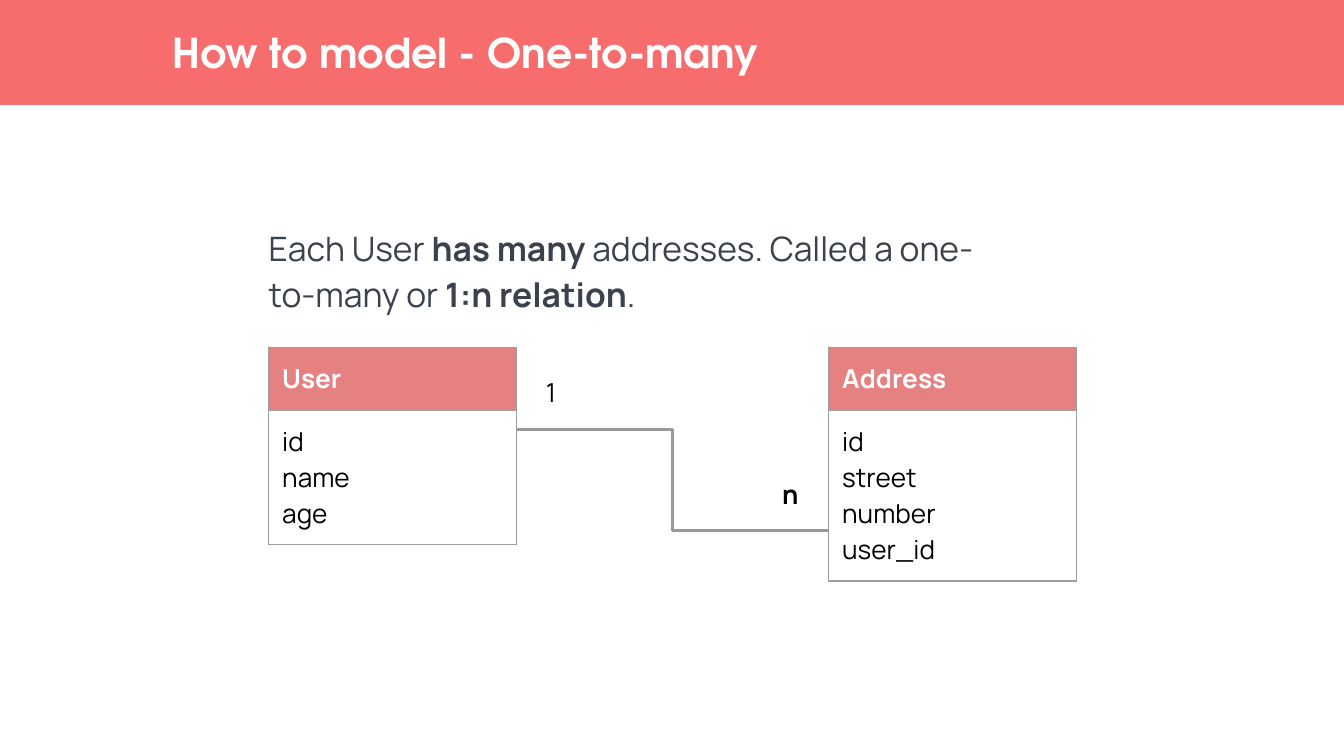
from lxml import etree
from pptx import Presentation
from pptx import util as u
from pptx.dml import color
from pptx.enum import shapes, text
from pptx.oxml import ns

PX = 9525
BODY_FONT = "Manrope"
TITLE_FONT = "TeX Gyre Adventor"


def px(*lengths):
    """Turn lengths in px (96 to the inch) into EMU."""
    return [u.Emu(length * PX) for length in lengths]


def paint(target, colour):
    """Give a solid fill its hex colour."""
    target.solid()
    target.fore_color.rgb = color.RGBColor.from_string(colour)


def child(parent, tag, **attributes):
    """Append a drawing element with attributes."""
    return etree.SubElement(parent, ns.qn(tag), attributes)


def write(frame, lines, size=14, font=BODY_FONT, colour="000000", bold=False,
          align=text.PP_ALIGN.LEFT, anchor=text.MSO_ANCHOR.MIDDLE, spacing=None):
    """Write lines of spans; every second span of a line flips the weight."""
    frame.word_wrap = True
    frame.vertical_anchor = anchor
    for index, spans in enumerate(lines):
        para = frame.add_paragraph() if index else frame.paragraphs[0]
        para.alignment = align
        if spacing:
            para.line_spacing = spacing
        for order, words in enumerate(spans):
            span = para.add_run()
            span.text = words
            span.font.size = u.Pt(size)
            span.font.name = font
            span.font.bold = bold != bool(order % 2)
            paint(span.font.fill, colour)


def add_text(page, box, lines, margin=0, **style):
    """Place a text box with equal margins."""
    frame = page.shapes.add_textbox(*px(*box)).text_frame
    frame.margin_left = frame.margin_right = u.Inches(margin)
    frame.margin_top = frame.margin_bottom = u.Inches(margin)
    write(frame, lines, **style)


def add_header(page, box, title):
    """Draw the title band and its title."""
    left, top, width, height = box
    band = page.shapes.add_shape(shapes.MSO_SHAPE.RECTANGLE, *px(*box))
    band.shadow.inherit = False
    band.line.fill.background()
    paint(band.fill, "F76C6C")
    add_text(page, (left + 125, top, 682, height), [[title]],
             size=22, font=TITLE_FONT, colour="FFFFFF", bold=True)


def add_borders(cell):
    """Draw a thin grey line on each side of a cell."""
    properties = cell._tc.get_or_add_tcPr()
    for index, side in enumerate(("a:lnL", "a:lnR", "a:lnT", "a:lnB")):
        line = child(properties, side, w=str(u.Pt(0.75)))
        child(child(line, "a:solidFill"), "a:srgbClr", val="9E9E9E")
        properties.insert(index, line)


def add_entity(page, box, name, fields):
    """Draw an entity as a table with a name row and a field row."""
    table = page.shapes.add_table(2, 1, *px(*box)).table
    table.first_row = table.horz_banding = False
    table.rows[0].height, table.rows[1].height = px(45, box[3] - 45)
    head, body = table.cell(0, 0), table.cell(1, 0)
    paint(head.fill, "E06666")
    tint = head._tc.tcPr.find(".//" + ns.qn("a:srgbClr"))
    child(tint, "a:alpha", val="82000")
    body.fill.background()
    write(head.text_frame, [[name]], colour="FFFFFF", bold=True,
          anchor=text.MSO_ANCHOR.TOP)
    write(body.text_frame, [[field] for field in fields],
          anchor=text.MSO_ANCHOR.TOP)
    for cell in (head, body):
        cell.margin_left = cell.margin_right = u.Inches(0.1)
        cell.margin_top = cell.margin_bottom = u.Inches(0.1)
        add_borders(cell)


def add_relation(page, box):
    """Draw the elbow line between two entities with its cardinalities."""
    left, top, width, height = box
    right, bottom = left + width, top + height
    line = page.shapes.add_connector(shapes.MSO_CONNECTOR.ELBOW,
                                     *px(left, top, right, bottom))
    line.line.width = u.Pt(1.5)
    paint(line.line.fill, "999999")
    child(line._element.spPr, "a:effectLst")
    centre = text.PP_ALIGN.CENTER
    add_text(page, (left + 3, top - 48, 43, 42), [["1"]], margin=0.1,
             align=centre)
    add_text(page, (right - 49, bottom - 47, 43, 42), [["n"]], margin=0.1,
             align=centre, bold=True)


def add_diagram(page, box):
    """Lay out the explanation above the two related entities."""
    left, top, width, height = box
    entity_width, entity_top = 177, top + 98
    add_text(page, (left, top, 511, 83),
             [["Each User ", "has many", " addresses. Called a one-to-many or",
               " 1:n relation", "."]],
             size=18, colour="3B424E", spacing=1.15)
    user = (left, entity_top, entity_width, 141)
    address = (left + width - entity_width, entity_top, entity_width, height - 98)
    add_entity(page, user, "User", ("id", "name", "age"))
    add_entity(page, address, "Address", ("id", "street", "number", "user_id"))
    add_relation(page, (left + entity_width, entity_top + 59,
                        width - 2 * entity_width, 72))


def main():
    """Build the one-to-many slide."""
    deck = Presentation()
    deck.slide_width, deck.slide_height = px(960, 540)
    page = deck.slides.add_slide(deck.slide_layouts[6])
    add_header(page, (-2, 0, 964, 75), "How to model - One-to-many")
    add_diagram(page, (192, 150, 577, 265))
    deck.save("out.pptx")


if __name__ == "__main__":
    main()
